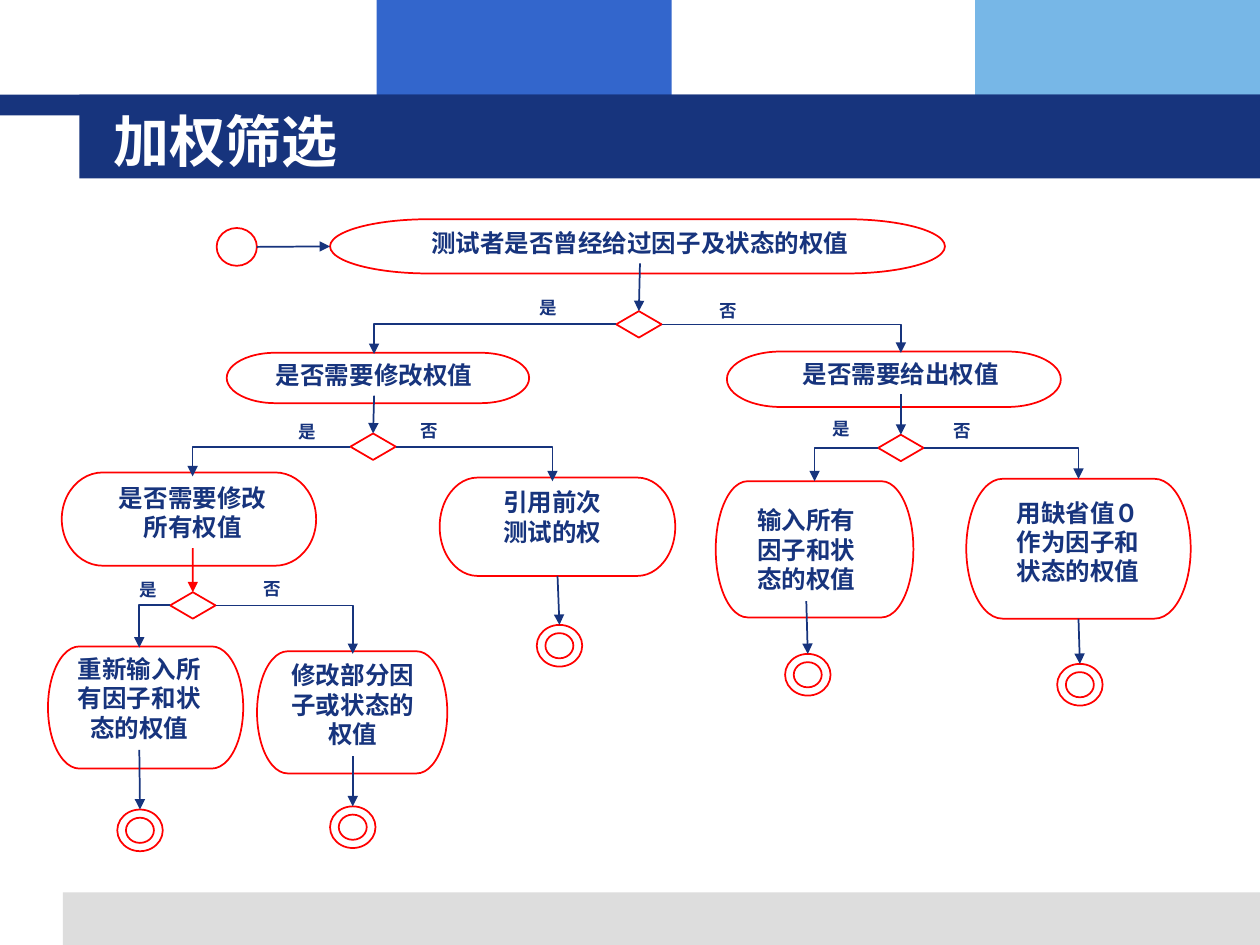
from collections import namedtuple

from pptx import Presentation
from pptx.dml.color import RGBColor
from pptx.enum.shapes import MSO_CONNECTOR, MSO_SHAPE
from pptx.enum.text import MSO_ANCHOR, PP_ALIGN
from pptx.oxml.ns import qn
from pptx.oxml.xmlchemy import OxmlElement
from pptx.util import Pt

RECTANGLE = MSO_SHAPE.RECTANGLE
ELLIPSE = MSO_SHAPE.OVAL
DIAMOND = MSO_SHAPE.DIAMOND
TERMINATOR = MSO_SHAPE.FLOWCHART_TERMINATOR
STRAIGHT, ELBOW = MSO_CONNECTOR.STRAIGHT, MSO_CONNECTOR.ELBOW
LEFT, CENTER = PP_ALIGN.LEFT, PP_ALIGN.CENTER
TOP, MIDDLE = MSO_ANCHOR.TOP, MSO_ANCHOR.MIDDLE
TOP_SIDE, LEFT_SIDE, BOTTOM_SIDE, RIGHT_SIDE = range(4)

Theme = namedtuple(
    "Theme", "navy blue sky gray red white font title_size node_size label_size")
theme = Theme(
    navy=RGBColor(0x17, 0x34, 0x7D), blue=RGBColor(0x33, 0x66, 0xCC),
    sky=RGBColor(0x77, 0xB7, 0xE7), gray=RGBColor(0xDD, 0xDD, 0xDD),
    red=RGBColor(0xFF, 0, 0), white=RGBColor(0xFF, 0xFF, 0xFF),
    font="Times New Roman", title_size=Pt(32), node_size=Pt(14), label_size=Pt(10))

presentation = Presentation()
presentation.slide_width, presentation.slide_height = Pt(720), Pt(540)
slide = presentation.slides.add_slide(presentation.slide_layouts[6])


def add_shape(kind, box, fill=None):
    """Add a filled shape without outline, or a red outline without fill."""
    shape = slide.shapes.add_shape(kind, *map(Pt, box))
    shape.shadow.inherit = False
    if fill is None:
        shape.fill.background()
        shape.line.color.rgb = theme.red
        shape.line.width = Pt(1)
    else:
        shape.fill.solid()
        shape.fill.fore_color.rgb = fill
        shape.line.fill.background()
    return shape


def add_text(text, box, size, color=theme.navy, align=LEFT, anchor=TOP):
    shape = slide.shapes.add_textbox(*map(Pt, box))
    frame = shape.text_frame
    frame.word_wrap = True
    frame.vertical_anchor = anchor
    paragraph = frame.paragraphs[0]
    paragraph.alignment = align
    run = paragraph.add_run()
    run.text = text
    run.font.name = theme.font
    run.font.size = size
    run.font.bold = True
    run.font.color.rgb = color
    return shape


# Page bands and title
bands = [
    ((215.3, 0, 168.5, 66), theme.blue),
    ((557.3, 0, 162.7, 66), theme.sky),
    ((36, 510, 684, 30), theme.gray),
    ((0, 54, 720, 12), theme.navy),
    ((45.4, 54, 674.6, 48), theme.navy),
]
for box, fill in bands:
    add_shape(RECTANGLE, box, fill)
add_text("加权筛选", (57.6, 57.6, 614.2, 44.6), theme.title_size, theme.white,
         anchor=MIDDLE)

# Question and action nodes: outline, text left, top and width, line count, text
nodes = {
    "root": ((188.6, 125.3, 351.4, 31), (217.4, 126.7, 296.6), 1,
             "测试者是否曾经给过因子及状态的权值"),
    "modify": ((129.6, 201.6, 172.8, 28.8), (133.9, 202.3, 159.8), 1,
               "是否需要修改权值"),
    "give": ((415.4, 200.9, 190.8, 31.7), (434.9, 201.6, 159.8), 1,
             "是否需要给出权值"),
    "modify all": ((35.3, 270, 145.4, 53.3), (59, 272.2, 102.2), 2,
                   "是否需要修改所有权值"),
    "previous": ((251.3, 272.9, 134.6, 56.2), (274.3, 275, 82.8), 2,
                 "引用前次测试的权"),
    "reenter": ((27.4, 369.4, 111.6, 69.8), (31, 370.1, 97.2), 3,
                "重新输入所有因子和状态的权值"),
    "partial": ((146.9, 372.2, 108.7, 69.8), (155.5, 373.7, 92.2), 3,
                "修改部分因子或状态的权值"),
    "enter": ((409, 275, 113, 77.8), (419, 285.1, 83.5), 3,
              "输入所有因子和状态的权值"),
    "default": ((552.2, 273.6, 128.2, 79.9), (567.4, 280.8, 97.2), 3,
                "用缺省值０作为因子和状态的权值"),
}
outlines, texts = {}, {}
for name, (outline_box, text_box, lines, text) in nodes.items():
    outlines[name] = add_shape(TERMINATOR, outline_box)
    texts[name] = add_text(text, (*text_box, 6.5 + 17.3 * lines),
                           theme.node_size, align=CENTER)

# Start circle
start = add_shape(ELLIPSE, (123.8, 130.3, 23, 21.6))
arrows = [(start, RIGHT_SIDE, outlines["root"], LEFT_SIDE, STRAIGHT, theme.navy)]

# Decisions: source, diamond, yes label, no label, yes target, no target, colour
decisions = [
    ("root", (352.1, 177.8), (301, 166.3), (403.9, 167.8),
     texts["modify"], texts["give"], theme.navy),
    ("modify", (200.2, 247.7), (163.4, 236.9), (233.3, 236.2),
     texts["modify all"], texts["previous"], theme.navy),
    ("modify all", (97.2, 338.4), (72.7, 327.6), (143.3, 326.9),
     texts["reenter"], texts["partial"], theme.red),
    ("give", (501.8, 248.4), (468.7, 235.4), (537.8, 236.2),
     outlines["enter"], outlines["default"], theme.navy),
]
for source, corner, yes_corner, no_corner, yes_target, no_target, color in decisions:
    diamond = add_shape(DIAMOND, (*corner, 26, 15.1))
    add_text("是", (*yes_corner, 28.8, 19.4), theme.label_size)
    add_text("否", (*no_corner, 28.8, 19.4), theme.label_size)
    arrows += [
        (texts[source], BOTTOM_SIDE, diamond, TOP_SIDE, STRAIGHT, color),
        (diamond, LEFT_SIDE, yes_target, TOP_SIDE, ELBOW, theme.navy),
        (diamond, RIGHT_SIDE, no_target, TOP_SIDE, ELBOW, theme.navy),
    ]

# End rings: source and outer corner
ends = [
    (texts["reenter"], 67, 462.6),
    (texts["partial"], 188.6, 460.8),
    (outlines["previous"], 306.7, 357.1),
    (texts["enter"], 448.6, 373.7),
    (outlines["default"], 604.1, 379.4),
]
for source, left, top in ends:
    ring = add_shape(ELLIPSE, (left, top, 26, 23.8))
    add_shape(ELLIPSE, (left + 5, top + 4.7, 16, 14.4))
    arrows.append((source, BOTTOM_SIDE, ring, TOP_SIDE, STRAIGHT, theme.navy))

# Arrows between the middles of sides
for source, source_side, target, target_side, kind, color in arrows:
    points = []
    for shape, side in ((source, source_side), (target, target_side)):
        across, down = ((0.5, 0), (0, 0.5), (0.5, 1), (1, 0.5))[side]
        points += [int(shape.left + shape.width * across),
                   int(shape.top + shape.height * down)]
    connector = slide.shapes.add_connector(kind, *points)
    connector.line.color.rgb = color
    connector.line.width = Pt(1)
    properties = connector._element.spPr
    if kind == ELBOW:
        properties.find(qn("a:prstGeom")).set("prst", "bentConnector2")
    else:
        if source is not start:
            connector.begin_connect(source, source_side)
        connector.end_connect(target, target_side)
    arrowhead = OxmlElement("a:tailEnd")
    arrowhead.set("type", "triangle")
    properties.find(qn("a:ln")).append(arrowhead)
    properties.append(OxmlElement("a:effectLst"))

presentation.save("out.pptx")
